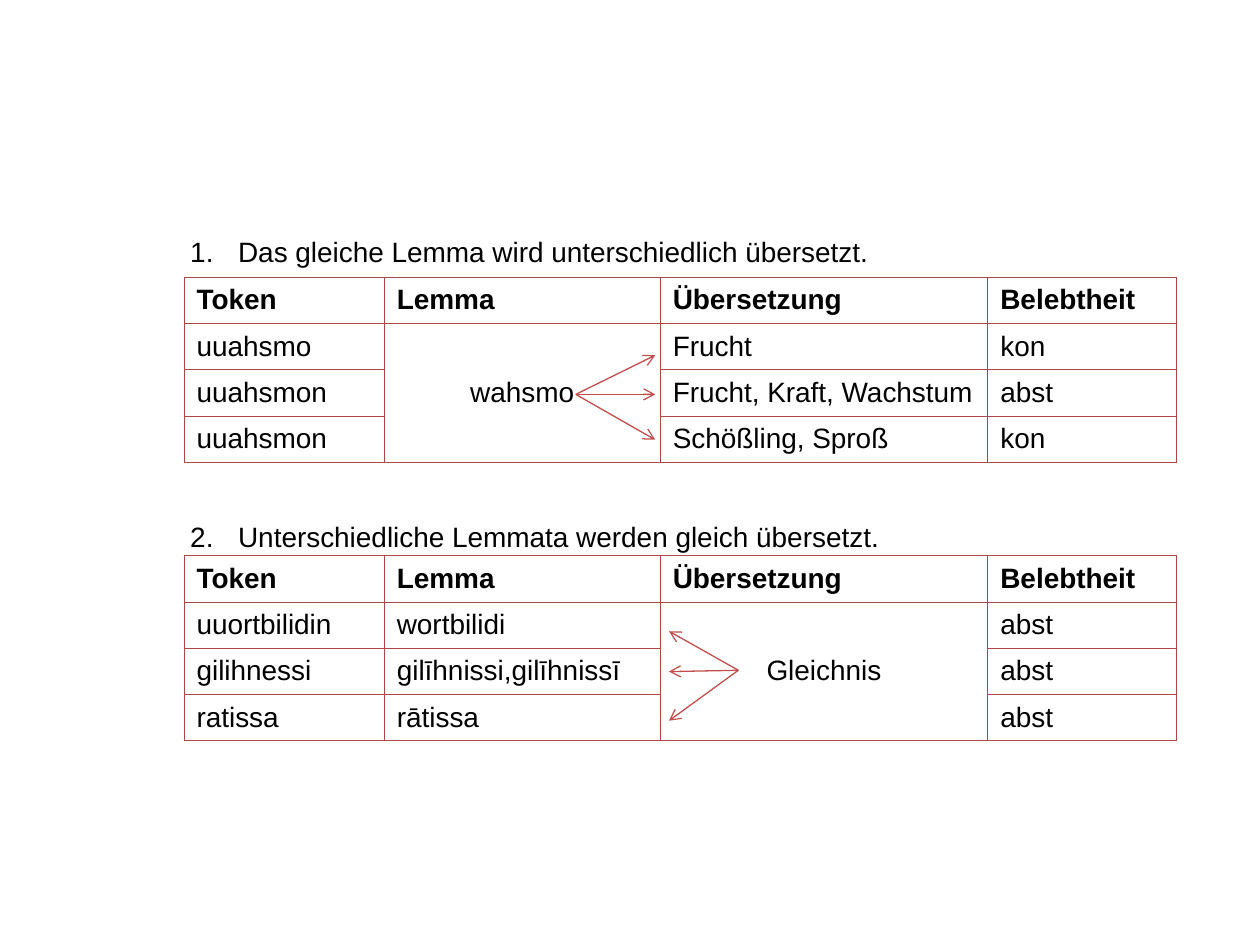
from lxml.etree import SubElement
from pptx import Presentation
from pptx.dml.color import RGBColor
from pptx.enum.shapes import MSO_CONNECTOR
from pptx.enum.text import MSO_ANCHOR, MSO_AUTO_SIZE, PP_ALIGN
from pptx.oxml.ns import qn
from pptx.util import Inches, Pt

BLACK, BORDER, ARROW = "000000", "AE4845", "C0504D"
COL_WIDTHS = [1.59, 2.19, 2.6, 1.5]
TABLE_LEFT, TABLE_HEIGHT = 1.46, 1.47
HEADER = ["Token", "Lemma", "Übersetzung", "Belebtheit"]
SAME_LEMMA = [
    ["uuahsmo", "wahsmo", "Frucht", "kon"],
    ["uuahsmon", "", "Frucht, Kraft, Wachstum", "abst"],
    ["uuahsmon", "", "Schößling, Sproß", "kon"],
]
SAME_TRANSLATION = [
    ["uuortbilidin", "wortbilidi", "Gleichnis", "abst"],
    ["gilihnessi", "gilīhnissi,gilīhnissī", "", "abst"],
    ["ratissa", "rātissa", "", "abst"],
]
STATEMENTS = [
    "Das gleiche Lemma wird unterschiedlich übersetzt.",
    "Unterschiedliche Lemmata werden gleich übersetzt.",
]


def rgb(color):
    """Turn a hex string into a colour."""
    return RGBColor.from_string(color)


def format_runs(p, bold=False):
    """Give all runs of a paragraph the slide's text style."""
    for r in p.runs:
        r.font.name = "Arial"
        r.font.size = Pt(16)
        r.font.bold = bold
        r.font.color.rgb = rgb(BLACK)


def add_statements(s):
    """Fill the body placeholder with the numbered statements."""
    sp = s.placeholders[1]
    sp.left, sp.top = Inches(0.91), Inches(1.47)
    sp.width, sp.height = Inches(9.05), Inches(5.17)
    tf = sp.text_frame
    tf.text = "\n".join(STATEMENTS)
    tf.auto_size = MSO_AUTO_SIZE.NONE
    tf.vertical_anchor = MSO_ANCHOR.TOP
    tf.margin_top = Inches(0.39)
    for p, gap in zip(tf.paragraphs, (0, 144)):
        p.alignment = PP_ALIGN.LEFT
        p.line_spacing = 1.0
        p.space_before = Pt(gap)
        format_runs(p)
        pPr = p._p.get_or_add_pPr()
        pPr.set("marL", str(Inches(0.88)))
        pPr.set("indent", str(Inches(-0.38)))
        color = SubElement(pPr, qn("a:buClr"))
        SubElement(color, qn("a:srgbClr"), val=BLACK)
        SubElement(pPr, qn("a:buFont"), typeface="Arial")
        SubElement(pPr, qn("a:buAutoNum"), type="arabicPeriod")


def set_borders(cell):
    """Draw a thin line on every side of a cell."""
    tcPr = cell._tc.get_or_add_tcPr()
    for side in ("lnL", "lnR", "lnT", "lnB"):
        ln = SubElement(tcPr, qn(f"a:{side}"), w=str(Pt(0.45)))
        fill = SubElement(ln, qn("a:solidFill"))
        SubElement(fill, qn("a:srgbClr"), val=BORDER)


def add_word_table(s, top, body, merged_col):
    """Add a word table whose body is merged in one column."""
    rows = [HEADER] + body
    frame = s.shapes.add_table(len(rows), len(HEADER), Inches(TABLE_LEFT), Inches(top),
                               Inches(sum(COL_WIDTHS)), Inches(TABLE_HEIGHT))
    table = frame.table
    table.first_row = table.horz_banding = False
    for col, width in zip(table.columns, COL_WIDTHS):
        col.width = Inches(width)
    for i, row in enumerate(rows):
        for j, text in enumerate(row):
            cell = table.cell(i, j)
            set_borders(cell)
            cell.fill.background()
            cell.vertical_anchor = MSO_ANCHOR.MIDDLE
            if text:
                cell.text = text
                format_runs(cell.text_frame.paragraphs[0], bold=i == 0)
    shared = table.cell(1, merged_col)
    shared.merge(table.cell(len(body), merged_col))
    shared.text_frame.paragraphs[0].alignment = PP_ALIGN.CENTER


def add_arrow_fan(s, start, end_x, end_ys):
    """Add arrows that spread from one point to several rows."""
    x, y = start
    for end_y in end_ys:
        line = s.shapes.add_connector(MSO_CONNECTOR.STRAIGHT, Inches(x), Inches(y),
                                      Inches(end_x), Inches(end_y))
        line.line.color.rgb = rgb(ARROW)
        line.line.width = Pt(0.75)
        SubElement(line.line._get_or_add_ln(), qn("a:tailEnd"), type="arrow")
        SubElement(line._element.spPr, qn("a:effectLst"))


def main():
    """Build the slide and save it."""
    prs = Presentation()
    prs.slide_width, prs.slide_height = Inches(10), Inches(7.5)
    s = prs.slides.add_slide(prs.slide_layouts[1])
    title = s.shapes.title._element
    title.getparent().remove(title)
    add_statements(s)
    add_word_table(s, 4.41, SAME_TRANSLATION, 2)
    add_word_table(s, 2.2, SAME_LEMMA, 1)
    add_arrow_fan(s, (4.57, 3.13), 5.2, (2.82, 3.13, 3.49))
    add_arrow_fan(s, (5.86, 5.32), 5.31, (5.33, 5.01, 5.72))
    prs.save("out.pptx")


if __name__ == "__main__":
    main()
